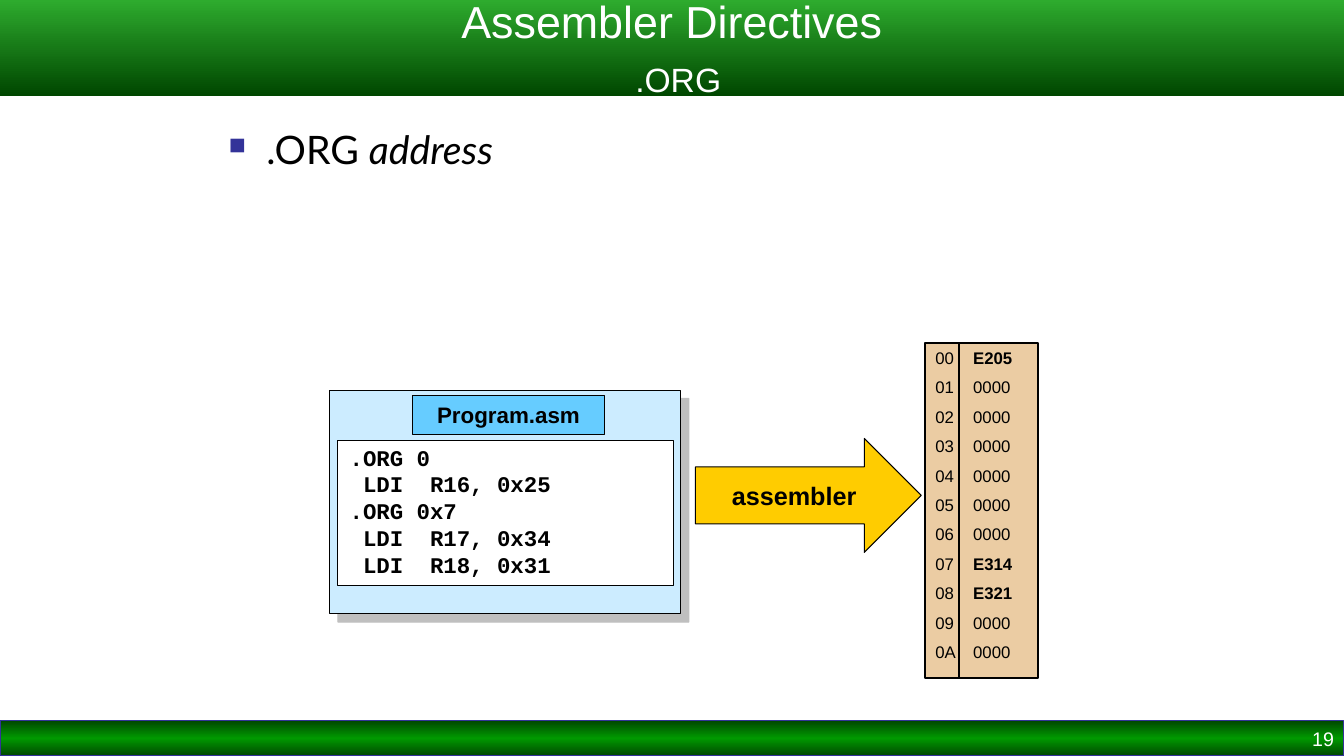
import pptx
import pptx.util
import pptx.dml.color
import pptx.enum.shapes
import pptx.enum.text
import pptx.oxml
import pptx.oxml.ns
from lxml import etree

Pt = pptx.util.Pt
qn = pptx.oxml.ns.qn
Shape = pptx.enum.shapes.MSO_SHAPE
Align = pptx.enum.text.PP_ALIGN
Anchor = pptx.enum.text.MSO_ANCHOR


def color(code):
    return pptx.dml.color.RGBColor.from_string(code)


def add_xml(parent, tag, **attrs):
    return etree.SubElement(parent, qn(tag), **attrs)


def place(slide, box, fill=None, line="000000", width=0.75, kind=Shape.RECTANGLE):
    shape = slide.shapes.add_shape(kind, *map(Pt, box))
    shape.shadow.inherit = False
    if fill:
        shape.fill.solid()
        shape.fill.fore_color.rgb = color(fill)
    if line:
        shape.line.color.rgb = color(line)
        shape.line.width = Pt(width)
    else:
        shape.line.fill.background()
    return shape


def shade(shape, codes):
    """Fill from top to bottom with evenly spaced colours."""
    shape.fill.gradient()
    shape.fill.gradient_angle = 270
    stops = shape.element.spPr.find(qn("a:gradFill")).find(qn("a:gsLst"))
    for stop in list(stops):
        stops.remove(stop)
    for i, code in enumerate(codes):
        stop = add_xml(stops, "a:gs", pos=str(100000 * i // (len(codes) - 1)))
        add_xml(stop, "a:srgbClr", val=code)


def write(shape, paras, size, font="Arial", tint="000000", bold=None,
          align=Align.LEFT, anchor=Anchor.TOP, wrap=True):
    """Fill a shape with paragraphs of text."""
    frame = shape.text_frame
    frame.word_wrap = wrap
    frame.vertical_anchor = anchor
    for i, text in enumerate(paras):
        para = frame.paragraphs[0] if i == 0 else frame.add_paragraph()
        para.text = text
        para.alignment = align
        para.font.size = Pt(size)
        para.font.name = font
        para.font.bold = bold
        para.font.color.rgb = color(tint)
    return frame


def header(slide, box):
    bar = place(slide, box, line=None)
    shade(bar, ["2EAB2E", "004700"])
    frame = write(bar, ["Assembler Directives\v "], 32, tint="FFFFFF",
                  align=Align.CENTER, anchor=Anchor.MIDDLE)
    run = frame.paragraphs[0].add_run()
    run.text = ".ORG"
    run.font.size = Pt(24)


def footer(slide, box):
    left, top, width, height = box
    bar = place(slide, box, line="333399")
    shade(bar, ["004700", "009900", "004700"])
    num = slide.shapes.add_textbox(Pt(left + width - 224), Pt(top + 1.2),
                                   Pt(224), Pt(height - 1.2))
    write(num, ["19"], 14, tint="FFFFFF", align=Align.RIGHT)


def syntax(slide, box):
    body = slide.shapes.add_textbox(*map(Pt, box))
    para = write(body, [".ORG "], 28, font="Lato").paragraphs[0]
    run = para.add_run()
    run.text = "address"
    run.font.italic = True
    # Square bullet with a hanging indent
    props = para._p.get_or_add_pPr()
    props.set("marL", str(Pt(27)))
    props.set("indent", str(-Pt(27)))
    tint = pptx.oxml.parse_xml(
        '<a:buClr xmlns:a="http://schemas.openxmlformats.org/drawingml/2006/main">'
        '<a:srgbClr val="333399"/></a:buClr>')
    props.insert(0, tint)
    size = etree.Element(qn("a:buSzPct"), val="60000")
    mark = etree.Element(qn("a:buChar"), char="■")
    tint.addnext(size)
    size.addnext(mark)


def program(slide, box):
    left, top, width, height = box
    # Panel with a soft grey shadow
    panel = place(slide, box, "CCECFF")
    effects = panel.element.spPr.find(qn("a:effectLst"))
    shadow = add_xml(effects, "a:outerShdw", dist=str(Pt(8.5)), dir="2700000",
                     algn="ctr", rotWithShape="0")
    tint = add_xml(shadow, "a:srgbClr", val="808080")
    add_xml(tint, "a:alpha", val="50000")
    # Code listing
    code = place(slide, (left + 5.8, top + 36, width - 10.8, 103.7), "FFFFFF")
    frame = write(code, [".ORG 0", " LDI  R16, 0x25", ".ORG 0x7",
                         " LDI  R17, 0x34", " LDI  R18, 0x31"],
                  16, font="Courier New", bold=True)
    frame.margin_left = Pt(8.6)
    frame.margin_top = Pt(2.5)
    for para in frame.paragraphs:
        para.line_spacing = Pt(19.1)
    # File name
    name = place(slide, (left + 59.1, top + 3.6, 137.5, 28.1), "66CCFF")
    write(name, ["Program.asm"], 16, bold=True, align=Align.CENTER,
          anchor=Anchor.MIDDLE)


def arrow(slide, box):
    shape = place(slide, box, "FFCC00", kind=Shape.RIGHT_ARROW)
    write(shape, ["assembler"], 18, bold=True, align=Align.CENTER,
          anchor=Anchor.MIDDLE, wrap=False)


def memory(slide, box):
    left, top, width, height = box
    words = {0: "E205", 7: "E314", 8: "E321"}
    block = place(slide, box, "EBCCA3", width=1.5)
    frame = write(block, [f"{i:02X}\t" for i in range(11)], 12)
    for i, para in enumerate(frame.paragraphs):
        run = para.add_run()
        run.text = words.get(i, "0000")
        if i in words:
            run.font.bold = True
        if i:
            para.space_before = Pt(6.6)
        props = para._p.get_or_add_pPr()
        tabs = etree.Element(qn("a:tabLst"))
        add_xml(tabs, "a:tab", pos=str(Pt(27)), algn="l")
        props.find(qn("a:defRPr")).addprevious(tabs)
    # Rule between addresses and values
    rule = slide.shapes.add_connector(
        pptx.enum.shapes.MSO_CONNECTOR.STRAIGHT,
        Pt(left + 24), Pt(top), Pt(left + 24), Pt(top + height))
    rule.line.color.rgb = color("000000")
    rule.line.width = Pt(1.5)
    add_xml(rule._element.spPr, "a:effectLst")


def main():
    deck = pptx.Presentation()
    deck.slide_width, deck.slide_height = Pt(960), Pt(540)
    slide = deck.slides.add_slide(deck.slide_layouts[6])
    footer(slide, (0, 514.8, 960, 25.2))
    header(slide, (0, 0, 960, 68.4))
    syntax(slide, (156.2, 86, 657.4, 99.4))
    program(slide, (235.4, 278.6, 250.6, 159.8))
    memory(slide, (661, 244.8, 80.6, 239.4))
    arrow(slide, (496.8, 313.2, 161.3, 81.4))
    deck.save("out.pptx")


if __name__ == "__main__":
    main()
